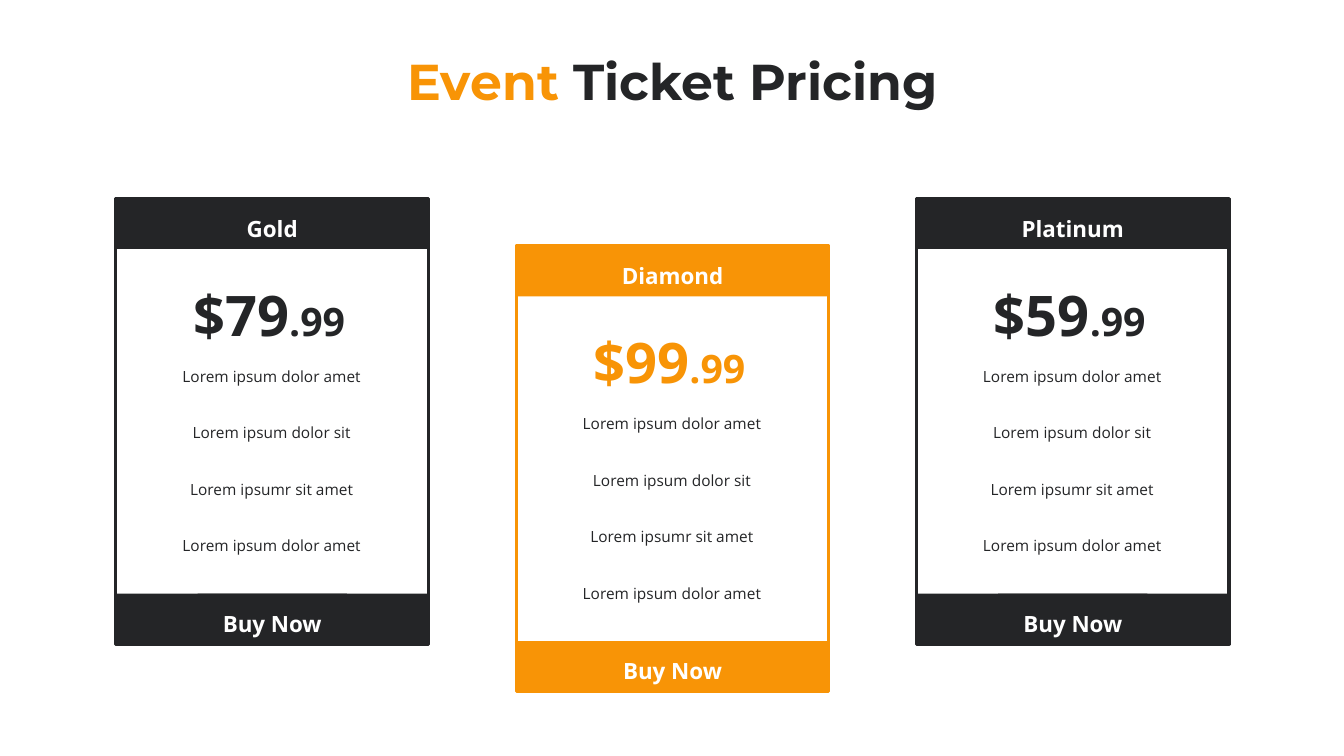
from pptx import Presentation
from pptx.dml.color import RGBColor
from pptx.enum.shapes import MSO_SHAPE as Shape
from pptx.enum.text import MSO_ANCHOR as Anchor, PP_ALIGN as Align
from pptx.util import Inches, Pt

COLORS = {"dark": "242527", "orange": "F89406", "white": "FFFFFF"}

# Card grid, in inches
CARD_LEFT, CARD_TOP = 1.15, 1.97
CARD_STEP, CARD_DROP = 3.97, 0.47
CARD_W, CARD_H, BAND_H = 3.1, 4.42, 0.5
FEATURE_TOP, FEATURE_STEP = 1.53, 0.56

FEATURES = [
    "Lorem ipsum dolor amet",
    "Lorem ipsum dolor sit",
    "Lorem ipsumr sit amet",
    "Lorem ipsum dolor amet",
]
# Name, whole price, cents, accent, column, rows dropped
TICKETS = [
    ("Gold", "$79", ".99", "dark", 0, 0),
    ("Platinum", "$59", ".99", "dark", 2, 0),
    ("Diamond", "$99", ".99", "orange", 1, 1),
]


def rgb(name):
    return RGBColor.from_string(COLORS[name])


def write(holder, runs, font="Open Sans", bold=False, spacing=1.5,
          anchor=Anchor.TOP):
    """Fill a shape with one centred line of (text, size, colour) runs."""
    frame = holder.text_frame
    frame.word_wrap = True
    frame.vertical_anchor = anchor
    line = frame.paragraphs[0]
    line.alignment = Align.CENTER
    line.line_spacing = spacing
    for text, size, color in runs:
        run = line.add_run()
        run.text = text
        run.font.name = font
        run.font.size = Pt(size)
        run.font.bold = bold
        run.font.color.rgb = rgb(color)


def add_box(slide, left, top, width, height, fill, outline=None):
    box = slide.shapes.add_shape(
        Shape.RECTANGLE, Inches(left), Inches(top), Inches(width), Inches(height))
    box.shadow.inherit = False
    box.fill.solid()
    box.fill.fore_color.rgb = rgb(fill)
    if outline:
        box.line.color.rgb = rgb(outline)
        box.line.width = Pt(2.25)
    else:
        box.line.fill.background()
    return box


def add_text(slide, left, top, width, height, runs, **style):
    label = slide.shapes.add_textbox(
        Inches(left), Inches(top), Inches(width), Inches(height))
    write(label, runs, **style)


def add_band(slide, left, top, caption, accent):
    add_box(slide, left, top, CARD_W, BAND_H, accent)
    plate = add_box(slide, left + 0.81, top, 1.48, 0.46, accent)
    write(plate, [(caption, 16, "white")], bold=True, anchor=Anchor.MIDDLE)


def add_card(slide, name, price, cents, accent, column, drop):
    left = CARD_LEFT + column * CARD_STEP
    top = CARD_TOP + drop * CARD_DROP
    add_box(slide, left, top, CARD_W, CARD_H, "white", outline=accent)
    add_band(slide, left, top, name, accent)
    add_text(slide, left + 0.55, top + 0.43, 1.94, 1,
             [(price, 40, accent), (cents, 28, accent)], bold=True)
    for row, feature in enumerate(FEATURES):
        add_text(slide, left + 0.42, top + FEATURE_TOP + row * FEATURE_STEP,
                 2.25, 0.38, [(feature, 11, "dark")])
    add_band(slide, left, top + CARD_H - BAND_H, "Buy Now", accent)


def add_title(slide):
    title = slide.shapes.title
    title.left, title.top = Inches(3.79), Inches(0.45)
    title.width, title.height = Inches(5.76), Inches(0.71)
    write(title, [("Event ", 36, "orange"), ("Ticket Pricing", 36, "dark")],
          font="Montserrat", bold=True, spacing=1)


def main():
    deck = Presentation()
    deck.slide_width, deck.slide_height = Inches(13.33), Inches(7.5)
    slide = deck.slides.add_slide(deck.slide_layouts[5])
    add_title(slide)
    for ticket in TICKETS:
        add_card(slide, *ticket)
    deck.save("out.pptx")


if __name__ == "__main__":
    main()
